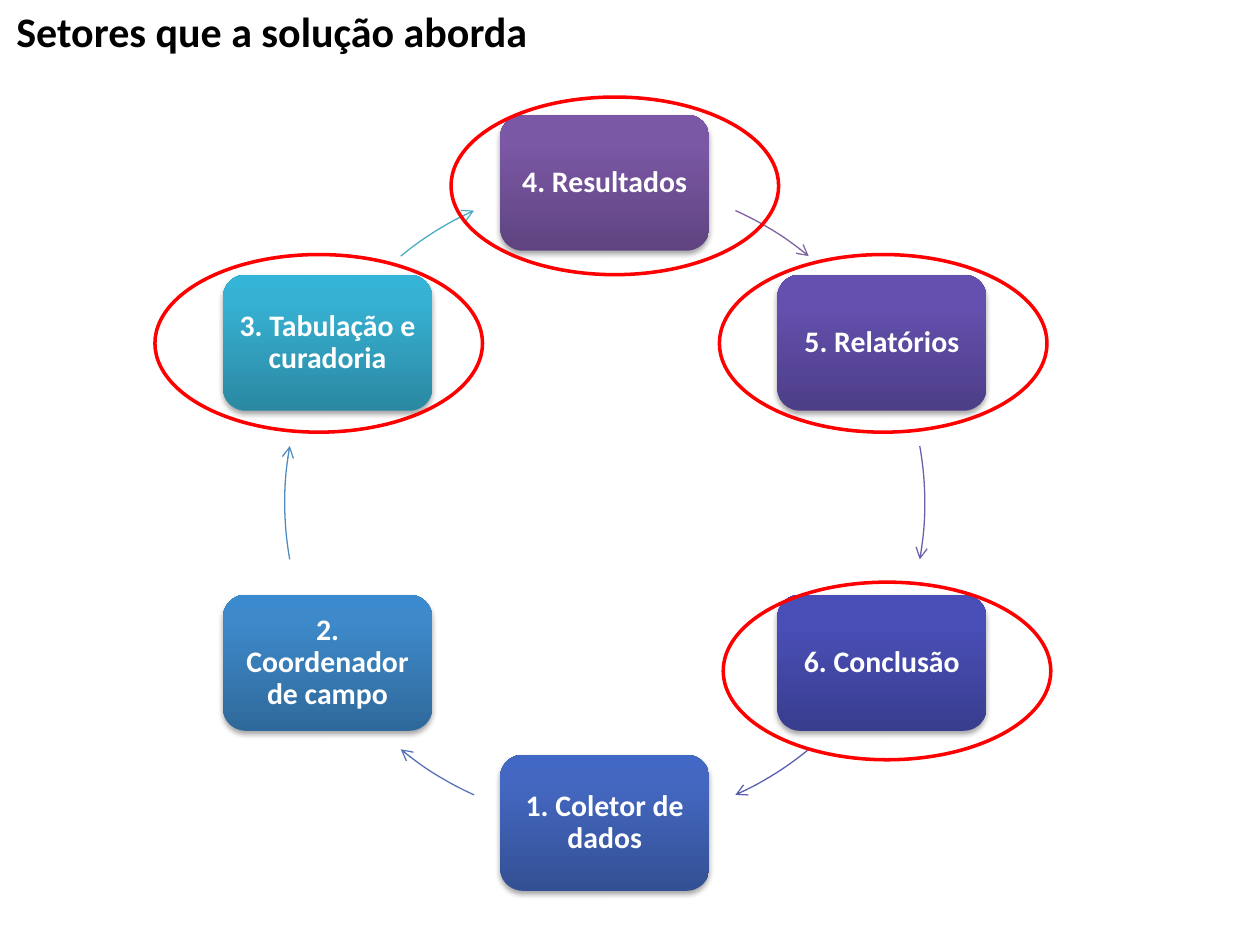
from dataclasses import dataclass
from math import cos, radians, sin

from lxml import etree
from pptx import Presentation
from pptx.dml.color import RGBColor
from pptx.enum.shapes import MSO_SHAPE
from pptx.enum.text import MSO_ANCHOR, MSO_AUTO_SIZE, PP_ALIGN
from pptx.oxml import parse_xml
from pptx.oxml.ns import nsdecls, qn
from pptx.util import Inches, Pt

ROUNDED = MSO_SHAPE.ROUNDED_RECTANGLE
ARC = MSO_SHAPE.ARC
OVAL = MSO_SHAPE.OVAL
MIDDLE = MSO_ANCHOR.MIDDLE
TOP = MSO_ANCHOR.TOP
LEFT = PP_ALIGN.LEFT
CENTER = PP_ALIGN.CENTER
FIT_SHAPE = MSO_AUTO_SIZE.SHAPE_TO_FIT_TEXT
TITLE_ONLY = 5


@dataclass(frozen=True)
class Theme:
    """Colours and type sizes of the slide."""
    font: str = "Calibri"
    title_size: int = 24
    step_size: int = 17
    title_color: str = "000000"
    step_color: str = "FFFFFF"
    highlight: str = "FF0000"
    highlight_width: float = 2
    arrow_width: float = 0.75


THEME = Theme()
TITLE = "Setores que a solução aborda"
STEPS = [
    ("4. Resultados", ("5F4480", "7B58A6", "7C57A8"), "8064A2"),
    ("5. Relatórios", ("4D3E87", "6451AF", "6450B2"), "6E5FA9"),
    ("6. Conclusão", ("393D8E", "4A4FB8", "484EBB"), "5A5EB1"),
    ("1. Coletor de dados", ("345094", "4468C1", "4168C4"), "5572B8"),
    ("2. Coordenador de campo", ("2F699B", "3D89C9", "3B8ACD"), "508CBF"),
    ("3. Tabulação e curadoria", ("2A88A2", "37B1D2", "34B4D6"), "4BACC6"),
]
ARROW_SPANS = [(-65.9, -50.4), (-10.2, 10.2), (50.4, 65.9)]
HIGHLIGHTS = [(3.58, 0.77), (5.71, 2.02), (5.74, 4.62), (1.23, 2.02)]
HIGHLIGHT_SIZE = (2.6, 1.41)
CYCLE_BOX = (2.26, 1.45, 5.08, 5.08)
STEP_SIZE = (1.66, 1.08)
TITLE_BOX = (0.03, -0.01, 4.59, 0.5)


def add_span(para, text, size, color):
    """Add one bold run in the theme font."""
    span = para.add_run()
    span.text = text
    span.font.name = THEME.font
    span.font.size = Pt(size)
    span.font.bold = True
    span.font.color.rgb = RGBColor.from_string(color)


def add_plain_shape(page, kind, box):
    """Add an unfilled shape without shadow."""
    shape = page.shapes.add_shape(kind, *map(Inches, box))
    shape.shadow.inherit = False
    shape.fill.background()
    return shape


def set_line(shape, color, width):
    """Give the shape a solid outline."""
    shape.line.color.rgb = RGBColor.from_string(color)
    shape.line.width = Pt(width)


def set_gradient(shape, colors):
    """Fill the shape with three stops rising from its bottom edge."""
    stops = "".join(
        f'<a:gs pos="{position}"><a:srgbClr val="{color}"/></a:gs>'
        for position, color in zip((0, 80000, 100000), colors))
    gradient = parse_xml(
        f'<a:gradFill {nsdecls("a")} rotWithShape="1"><a:gsLst>{stops}</a:gsLst>'
        '<a:lin ang="16200000" scaled="0"/></a:gradFill>')
    properties = shape.element.spPr
    properties.replace(properties.find(qn("a:noFill")), gradient)


def set_shadow(shape):
    """Drop a soft shadow below the shape."""
    effects = shape.element.spPr.find(qn("a:effectLst"))
    effects.append(parse_xml(
        f'<a:outerShdw {nsdecls("a")} blurRad="{Pt(3.1)}" dist="{Pt(1.8)}" '
        'dir="5400000" rotWithShape="0"><a:srgbClr val="000000">'
        '<a:alpha val="35000"/></a:srgbClr></a:outerShdw>'))


def add_title(page, box):
    """Place the slide title in its placeholder."""
    title = page.shapes.title
    title.left, title.top, title.width, title.height = map(Inches, box)
    frame = title.text_frame
    frame.word_wrap = True
    frame.auto_size = FIT_SHAPE
    frame.vertical_anchor = TOP
    para = frame.paragraphs[0]
    para.alignment = LEFT
    add_span(para, TITLE, THEME.title_size, THEME.title_color)


def add_step(page, box, text, colors):
    """Add one labelled step of the cycle."""
    step = add_plain_shape(page, ROUNDED, box)
    step.line.fill.background()
    set_gradient(step, colors)
    set_shadow(step)
    frame = step.text_frame
    frame.word_wrap = True
    frame.vertical_anchor = MIDDLE
    frame.margin_left = frame.margin_right = Inches(0.07)
    frame.margin_top = frame.margin_bottom = Inches(0.07)
    para = frame.paragraphs[0]
    para.alignment = CENTER
    para.line_spacing = 0.9
    add_span(para, text, THEME.step_size, THEME.step_color)


def add_arrow(page, box, span, color):
    """Add a curved arrow between two angles in degrees."""
    arrow = add_plain_shape(page, ARC, box)
    for index, angle in enumerate(span):
        arrow.adjustments[index] = angle % 360 * 0.6
    set_line(arrow, color, THEME.arrow_width)
    line = arrow.element.spPr.find(qn("a:ln"))
    etree.SubElement(line, qn("a:tailEnd"), type="arrow")


def add_cycle(page, box):
    """Spread the steps and arrows evenly round the circle in the box."""
    left, top, width, height = box
    step_width, step_height = STEP_SIZE
    for index, (text, colors, arrow_color) in enumerate(STEPS):
        angle = radians(index * 360 / len(STEPS) - 90)
        step_left = left + (width * (1 + cos(angle)) - step_width) / 2
        step_top = top + (height * (1 + sin(angle)) - step_height) / 2
        add_step(page, (step_left, step_top, *STEP_SIZE), text, colors)
        half_turns, position = divmod(index, len(ARROW_SPANS))
        span = [edge + 180 * half_turns for edge in ARROW_SPANS[position]]
        add_arrow(page, box, span, arrow_color)


def add_highlights(page):
    """Ring the sectors covered by the solution."""
    for corner in HIGHLIGHTS:
        ring = add_plain_shape(page, OVAL, (*corner, *HIGHLIGHT_SIZE))
        set_line(ring, THEME.highlight, THEME.highlight_width)


def build_deck():
    """Build and save the one-slide deck."""
    deck = Presentation()
    deck.slide_width, deck.slide_height = Inches(10), Inches(7.5)
    page = deck.slides.add_slide(deck.slide_layouts[TITLE_ONLY])
    add_title(page, TITLE_BOX)
    add_cycle(page, CYCLE_BOX)
    add_highlights(page)
    deck.save("out.pptx")


build_deck()
